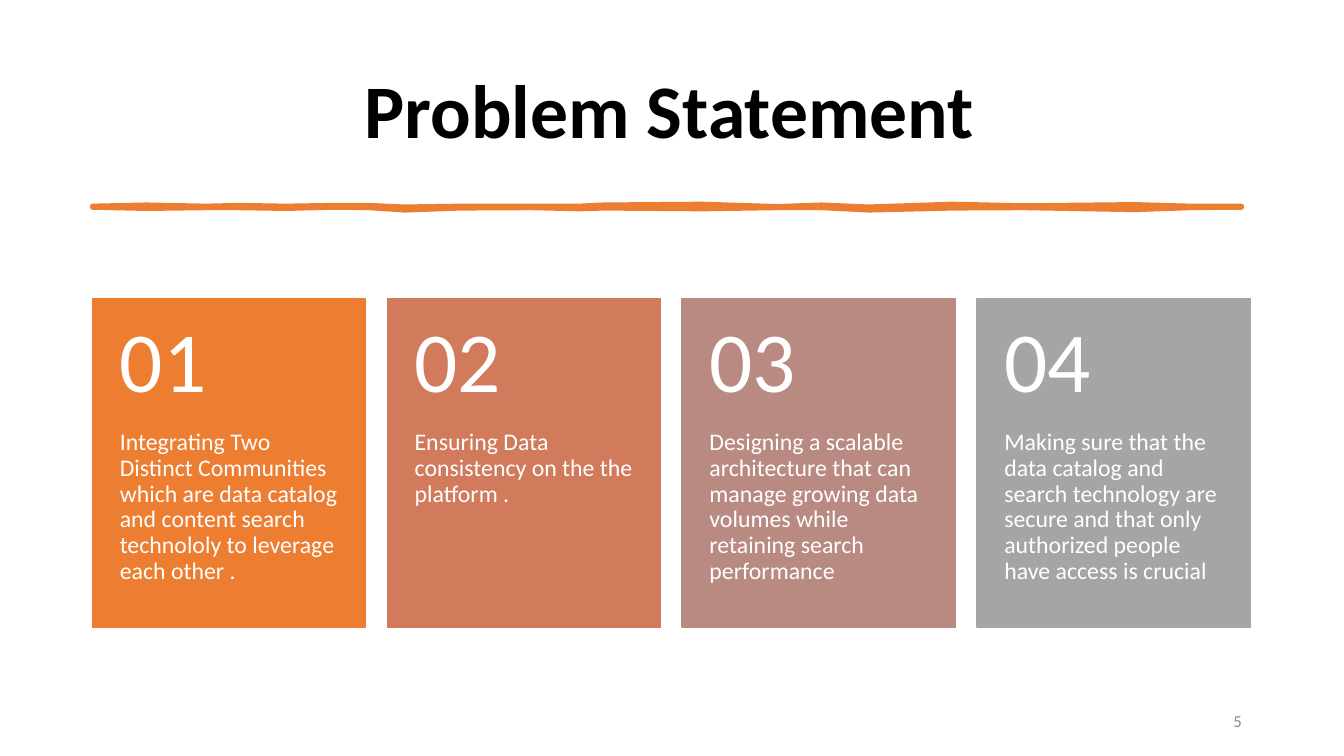
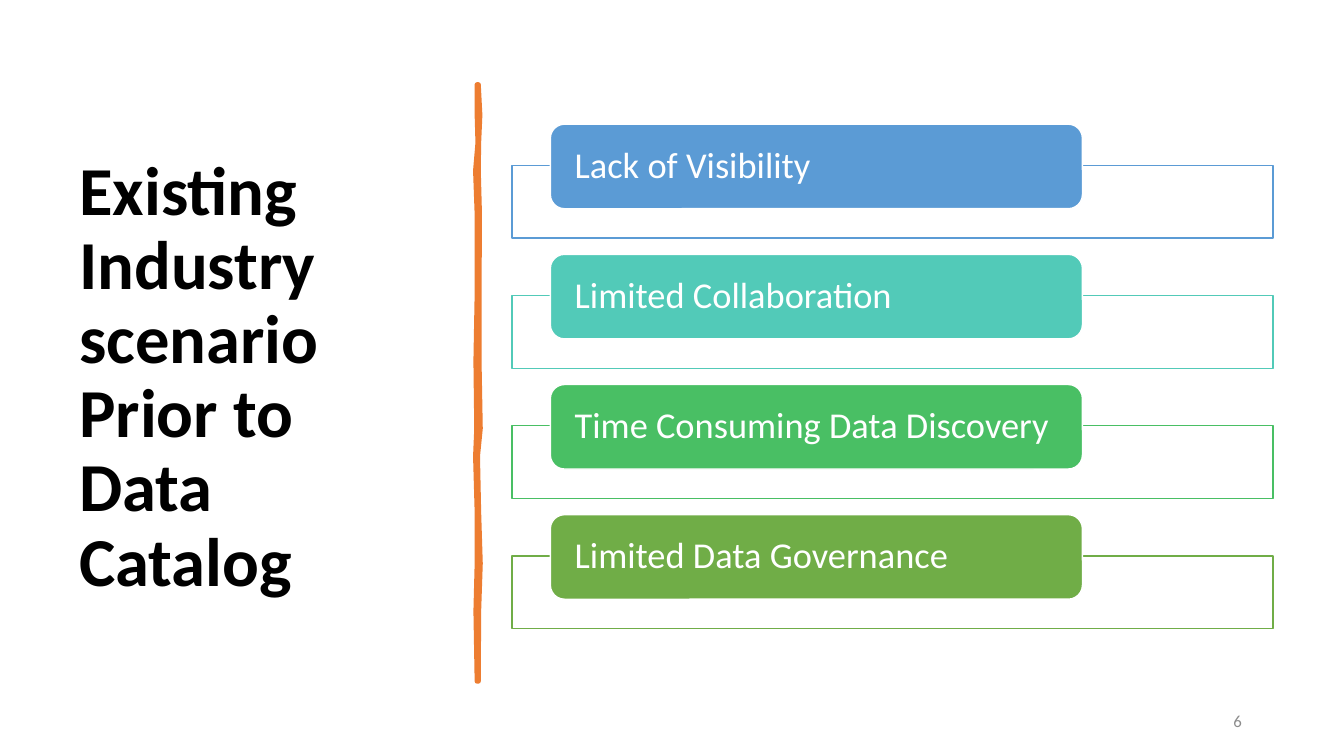
from dataclasses import dataclass

from pptx import Presentation
from pptx.dml.color import RGBColor
from pptx.enum.shapes import MSO_SHAPE
from pptx.enum.text import MSO_ANCHOR, PP_ALIGN
from pptx.util import Cm, Pt

RECT, ROUNDED = MSO_SHAPE.RECTANGLE, MSO_SHAPE.ROUNDED_RECTANGLE
TOP, MIDDLE = MSO_ANCHOR.TOP, MSO_ANCHOR.MIDDLE
LEFT, RIGHT = PP_ALIGN.LEFT, PP_ALIGN.RIGHT


@dataclass(frozen=True)
class Theme:
    font: str = "Calibri"
    ink: str = "000000"
    white: str = "FFFFFF"
    accent: str = "ED7D31"
    muted: str = "8C8C8C"
    card_fills: tuple = ("ED7D31", "D17B5C", "B98A82", "A5A5A5")
    row_fills: tuple = ("5B9BD5", "52CAB8", "49BF64", "70AD47")
    title: int = 54
    side_title: int = 49
    number: int = 61
    row: int = 26
    body: int = 17
    page: int = 12
    spacing: float = 0.9
    hairline: float = 1
    stroke: float = 3.25


THEME = Theme()

PROBLEMS = (
    "Integrating Two Distinct Communities which are data catalog and content "
    "search technololy to leverage each other .",
    "Ensuring Data consistency on the the platform .",
    "Designing a scalable architecture that can manage growing data volumes "
    "while retaining search performance",
    "Making sure that the data catalog and search technology are secure and "
    "that only authorized people have access is crucial",
)
LIMITATIONS = (
    "Lack of Visibility",
    "Limited Collaboration",
    "Time Consuming Data Discovery",
    "Limited Data Governance",
)

# Position along the stroke, then the offsets of its two edges, in cm
ACROSS = (
    (2.33, -0.02, 0.02), (3.7, -0.05, 0.05), (5.2, -0.02, 0.03),
    (6, -0.04, 0.03), (7.2, -0.02, 0.05), (8.4, -0.04, 0.02),
    (9.3, -0.04, 0.03), (10.2, 0, 0.09), (11.6, -0.02, 0.04),
    (13.4, -0.02, 0.03), (14.6, -0.02, 0.06), (15.2, -0.05, 0.04),
    (17.7, -0.07, 0.06), (19.6, -0.01, 0.03), (20.7, -0.05, 0.03),
    (21.9, 0, 0.09), (24, -0.07, 0.04), (25.8, -0.03, 0.03),
    (28.6, -0.06, 0.08), (30, -0.02, 0.03), (31.29, -0.02, 0.02),
)
DOWN = (
    (2.13, -0.02, 0.02), (2.9, -0.02, 0.06), (3.6, 0, 0.03),
    (4.3, -0.06, 0.02), (5.4, -0.02, 0.05), (7.4, -0.02, 0.04),
    (9.1, -0.05, 0.04), (10.8, -0.03, 0.07), (11.5, -0.06, 0),
    (12.9, -0.02, 0.03), (14.2, -0.02, 0.07), (15.4, -0.05, 0.03),
    (17.17, -0.02, 0.02),
)


def rgb(value):
    return RGBColor.from_string(value)


def paint(shape, fill, line, width):
    shape.shadow.inherit = False
    shape.fill.solid()
    shape.fill.fore_color.rgb = rgb(fill)
    shape.line.color.rgb = rgb(line)
    shape.line.width = Pt(width)


def write(shape, text, size, color, bold=False, align=LEFT, spacing=THEME.spacing, **frame):
    """Put one paragraph in a shape; frame holds the text frame's own settings."""
    tf = shape.text_frame
    for name, value in {"word_wrap": True, "vertical_anchor": MIDDLE, **frame}.items():
        setattr(tf, name, value)
    p = tf.paragraphs[0]
    p.alignment, p.line_spacing = align, spacing
    r = p.add_run()
    r.text = text
    for name, value in {"name": THEME.font, "size": Pt(size), "bold": bold}.items():
        setattr(r.font, name, value)
    r.font.color.rgb = rgb(color)


def add_text(s, box, text, size, color, **style):
    write(s.shapes.add_textbox(*map(Cm, box)), text, size, color, **style)


def add_box(s, kind, box, fill, line):
    shape = s.shapes.add_shape(kind, *map(Cm, box))
    paint(shape, fill, line, THEME.hairline)
    return shape


def add_rough_stroke(s, centre, wobble, vertical=False):
    """Draw a hand-drawn line as a thin outline around a centre line."""
    outline = [(at, centre + low) for at, low, _ in wobble]
    outline += [(at, centre + high) for at, _, high in reversed(wobble)]
    points = [(Cm(y), Cm(x)) if vertical else (Cm(x), Cm(y)) for x, y in outline]
    builder = s.shapes.build_freeform(*points[0])
    builder.add_line_segments(points[1:], close=True)
    paint(builder.convert_to_shape(), THEME.accent, THEME.accent, THEME.stroke)


def add_card(s, left, number, text, fill):
    top, width, height, head, pad = 7.54, 6.89, 8.26, 3.3, 0.69
    sides = {"margin_left": Cm(pad), "margin_right": Cm(pad)}
    card = add_box(s, RECT, (left, top, width, height), fill, fill)
    write(card, text, THEME.body, THEME.white, vertical_anchor=TOP,
          margin_top=Cm(head), margin_bottom=Cm(0.9), **sides)
    add_text(s, (left, top, width, head), f"{number:02}", THEME.number, THEME.white, **sides)


def add_row(s, top, text, color):
    add_box(s, RECT, (12.9, top, 19.18, 1.83), THEME.white, color)
    pill = add_box(s, ROUNDED, (13.87, top - 1.04, 13.41, 2.13), color, THEME.white)
    write(pill, text, THEME.row, THEME.white, margin_left=Cm(0.51), margin_right=Cm(0.51),
          margin_top=0, margin_bottom=0)


def add_slide(prs, page, title, box, size):
    s = prs.slides.add_slide(prs.slide_layouts[6])
    add_text(s, box, title, size, THEME.ink, bold=True)
    add_text(s, (23.93, 17.65, 7.62, 1.02), str(page), THEME.page, THEME.muted,
             align=RIGHT, spacing=1.0)
    return s


def build_problems(prs):
    s = add_slide(prs, 5, "Problem Statement", (8.94, 1.02, 22.6, 3.7), THEME.title)
    add_rough_stroke(s, 5.21, ACROSS)
    for i, (text, fill) in enumerate(zip(PROBLEMS, THEME.card_fills)):
        add_card(s, 2.33 + 7.43 * i, i + 1, text, fill)


def build_limitations(prs):
    s = add_slide(prs, 6, "Existing Industry scenario Prior to Data Catalog",
                  (1.75, 1.78, 9.45, 15.52), THEME.side_title)
    add_rough_stroke(s, 12.04, DOWN, vertical=True)
    for i, (text, color) in enumerate(zip(LIMITATIONS, THEME.row_fills)):
        add_row(s, 4.17 + 3.28 * i, text, color)


def main():
    prs = Presentation()
    prs.slide_width, prs.slide_height = Cm(33.87), Cm(19.05)
    build_problems(prs)
    build_limitations(prs)
    prs.save("out.pptx")


if __name__ == "__main__":
    main()
